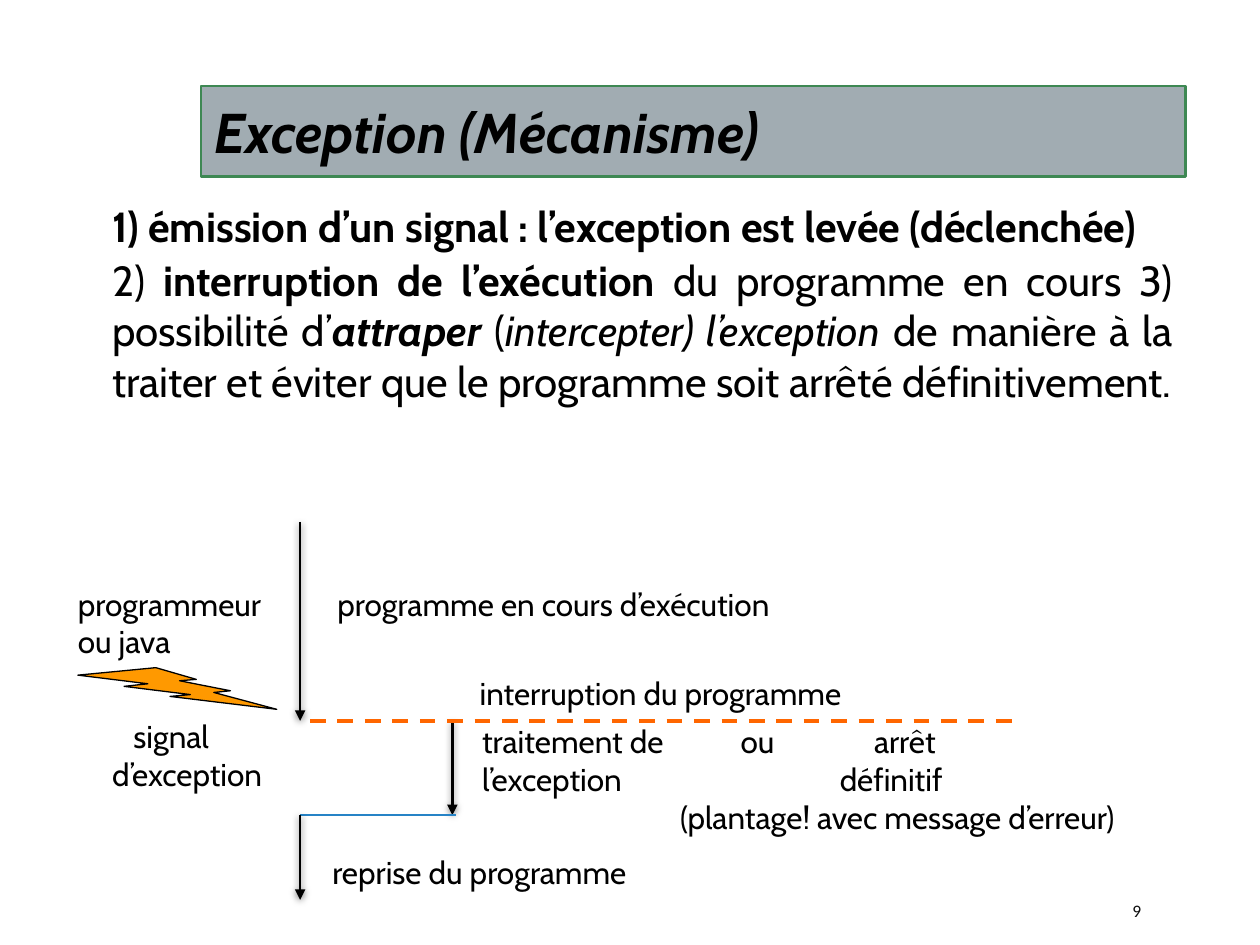
from dataclasses import dataclass
from typing import Optional

import pptx
import pptx.dml.color
import pptx.enum.dml
import pptx.enum.shapes
import pptx.enum.text
import pptx.oxml
import pptx.oxml.ns
import pptx.util

Cm = pptx.util.Cm
Pt = pptx.util.Pt
RGB = pptx.dml.color.RGBColor
Align = pptx.enum.text.PP_ALIGN
Anchor = pptx.enum.text.MSO_ANCHOR

BLACK = RGB(0x00, 0x00, 0x00)
INK = RGB(0x0D, 0x0D, 0x0D)
GREY = RGB(0xA1, 0xAC, 0xB2)
GREEN = RGB(0x3E, 0x88, 0x53)
BLUE = RGB(0x26, 0x83, 0xC6)
AMBER = RGB(0xFF, 0x99, 0x00)
ORANGE = RGB(0xFF, 0x66, 0x00)
FONT = "Cabin"
NS = pptx.oxml.ns.nsdecls("a")

MAIN_X, SIDE_X = 6.05, 9.12
START_Y, STOP_Y, BACK_Y, END_Y = 10.52, 14.53, 16.43, 18.14


@dataclass
class Row:
    text: str
    tabs: tuple[float, ...] = ()


@dataclass
class Label:
    box: tuple[float, float, float, float]
    rows: list[Row]


@dataclass
class Line:
    start: tuple[float, float]
    end: tuple[float, float]
    color: RGB = BLACK
    width: float = 1.5
    arrow: bool = True
    dash: bool = False


@dataclass
class Span:
    text: str
    bold: bool = False
    slant: bool = False


LABELS = [
    Label((6.55, 11.66, 11.02, 1.02), [Row("programme en cours d’exécution")]),
    Label((2.01, 14.33, 4.34, 1.78), [Row("\tsignal", (0.43,)), Row("d’exception")]),
    Label((9.42, 13.46, 12.14, 1.02), [Row("interruption du programme")]),
    Label((6.45, 17.07, 7.47, 1.02), [Row("reprise du programme")]),
    Label((9.47, 14.43, 15.24, 4.11), [
        Row("traitement de\tou\tarrêt", (5.21, 7.9)),
        Row("l’exception\tdéfinitif", (7.21,)),
        Row("\t(plantage! avec message d’erreur)", (3.99,)),
    ]),
    Label((1.32, 11.66, 4.83, 1.8), [Row("programmeur"), Row("ou java")]),
]

LINES = [
    Line((SIDE_X, STOP_Y), (SIDE_X, BACK_Y)),
    Line((MAIN_X, START_Y), (MAIN_X, STOP_Y)),
    Line((MAIN_X, BACK_Y), (9.19, BACK_Y), BLUE, 0.75, arrow=False),
    Line((MAIN_X, BACK_Y), (MAIN_X, END_Y)),
    Line((6.25, STOP_Y), (20.42, STOP_Y), ORANGE, 2.25, arrow=False, dash=True),
]

STEPS = [
    [Span("1) émission d’un signal : l’exception est levée (déclenchée)", True)],
    [
        Span("2) "),
        Span("interruption de l’exécution", True),
        Span(" du programme en cours 3) possibilité d’"),
        Span("attraper ", True, True),
        Span("("),
        Span("intercepter) l’exception ", slant=True),
        Span("de manière à la traiter et éviter que le programme soit arrêté définitivement."),
    ],
]


def style(run, size: float, bold: bool = False, slant: bool = False,
          name: str = FONT, color: RGB = BLACK) -> None:
    font = run.font
    font.name, font.size = name, Pt(size)
    font.bold, font.italic = bold, slant
    font.color.rgb = color


def add_box(slide, box: tuple[float, float, float, float]):
    frame = slide.shapes.add_textbox(*map(Cm, box)).text_frame
    frame.word_wrap = True
    return frame


def set_tabs(para, tabs: tuple[float, ...]) -> None:
    stops = "".join(f'<a:tab pos="{int(Cm(pos))}" algn="l"/>' for pos in tabs)
    para._p.get_or_add_pPr().append(
        pptx.oxml.parse_xml(f"<a:tabLst {NS}>{stops}</a:tabLst>"))


def add_label(slide, label: Label) -> None:
    frame = add_box(slide, label.box)
    frame.text = "\n".join(row.text for row in label.rows)
    for para, row in zip(frame.paragraphs, label.rows):
        if row.tabs:
            set_tabs(para, row.tabs)
        for run in para.runs:
            style(run, 18)


def add_line(slide, line: Line) -> None:
    wire = slide.shapes.add_connector(
        pptx.enum.shapes.MSO_CONNECTOR.STRAIGHT, *map(Cm, line.start + line.end))
    wire.line.color.rgb = line.color
    wire.line.width = Pt(line.width)
    if line.dash:
        wire.line.dash_style = pptx.enum.dml.MSO_LINE.DASH
    shade = ""
    if line.arrow:
        wire.line._get_or_add_ln().append(
            pptx.oxml.parse_xml(f'<a:tailEnd {NS} type="triangle"/>'))
        shade = (f'<a:outerShdw blurRad="{int(Pt(4))}" dist="{int(Pt(1))}" dir="5400000">'
                 '<a:srgbClr val="000000"><a:alpha val="50000"/></a:srgbClr></a:outerShdw>')
    wire._element.spPr.append(
        pptx.oxml.parse_xml(f"<a:effectLst {NS}>{shade}</a:effectLst>"))


def add_title(slide) -> None:
    title = slide.shapes.title
    title.left, title.top = Cm(4.06), Cm(1.73)
    title.width, title.height = Cm(19.84), Cm(1.83)
    title.fill.solid()
    title.fill.fore_color.rgb = GREY
    title.line.color.rgb = GREEN
    title.line.width = Pt(1.25)
    frame = title.text_frame
    frame.text = "Exception (Mécanisme)"
    frame.auto_size = pptx.enum.text.MSO_AUTO_SIZE.NONE
    frame.vertical_anchor = Anchor.MIDDLE
    para = frame.paragraphs[0]
    para.alignment = Align.LEFT
    style(para.runs[0], 32, True, True)


def add_steps(slide) -> None:
    frame = add_box(slide, (1.04, 3.63, 22.86, 9.09))
    frame.margin_left, frame.margin_top = Cm(1.22), Cm(0.41)
    for rank, spans in enumerate(STEPS):
        para = frame.add_paragraph() if rank else frame.paragraphs[0]
        para.alignment = Align.JUSTIFY
        para.space_before = Pt(2 if rank else 0)
        for span in spans:
            run = para.add_run()
            run.text = span.text
            style(run, 24, span.bold, span.slant)


def add_bolt(slide) -> None:
    bolt = slide.shapes.add_shape(
        pptx.enum.shapes.MSO_SHAPE.LIGHTNING_BOLT,
        Cm(1.57), Cm(13.46), Cm(4.01), Cm(0.84))
    bolt.shadow.inherit = False
    bolt.fill.solid()
    bolt.fill.fore_color.rgb = AMBER
    bolt.line.color.rgb = BLACK
    bolt.line.width = Pt(0.75)


def add_number(slide) -> None:
    frame = add_box(slide, (22.58, 17.98, 2.03, 0.76))
    frame.vertical_anchor = Anchor.MIDDLE
    frame.text = "9"
    style(frame.paragraphs[0].runs[0], 10, name="Calibri", color=INK)


def main() -> None:
    deck = pptx.Presentation()
    deck.slide_width, deck.slide_height = Cm(25.4), Cm(19.05)
    slide = deck.slides.add_slide(deck.slide_layouts[5])
    add_title(slide)
    add_steps(slide)
    for label in LABELS:
        add_label(slide, label)
    add_bolt(slide)
    for line in LINES:
        add_line(slide, line)
    add_number(slide)
    deck.save("out.pptx")


if __name__ == "__main__":
    main()
